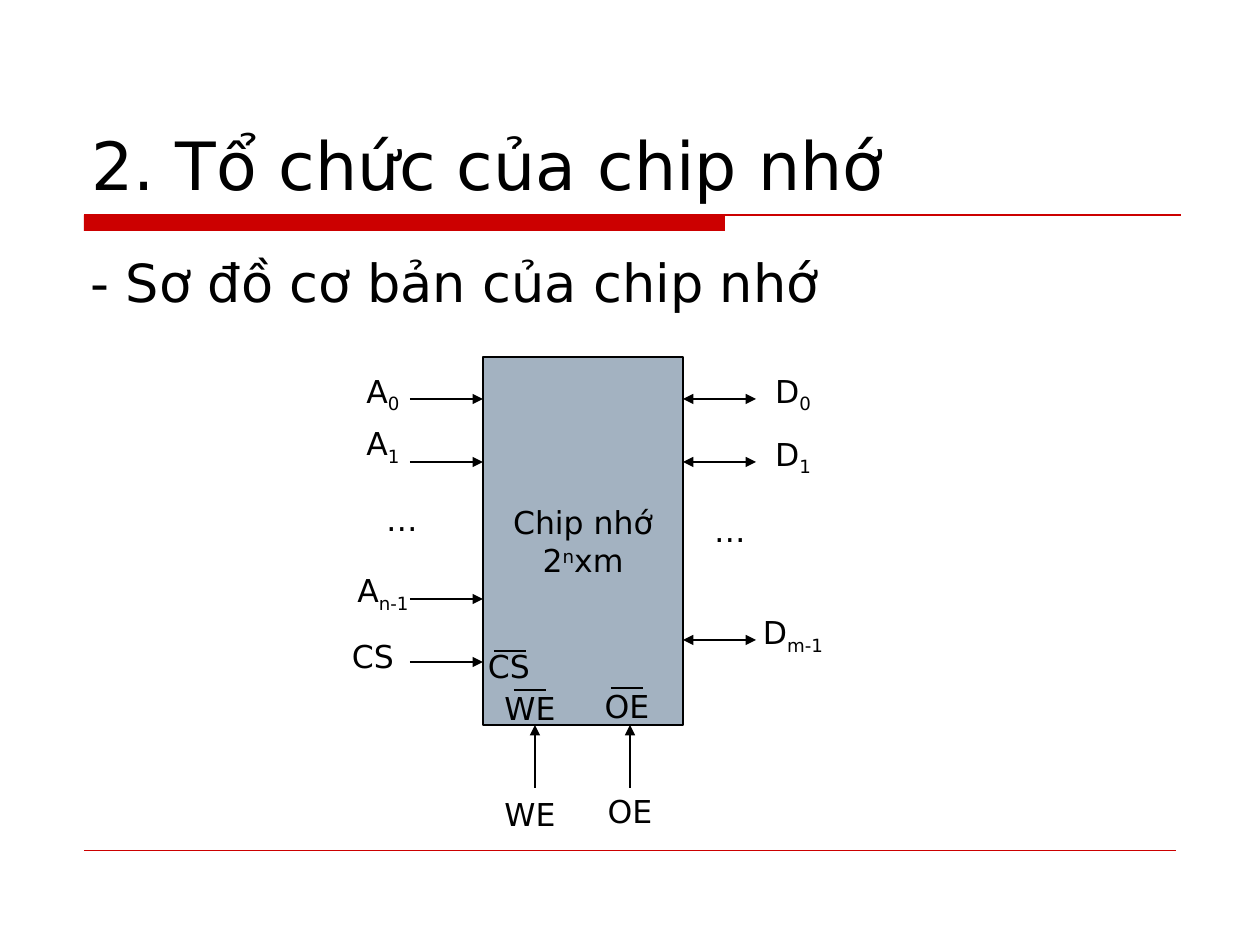
from pptx import Presentation
from pptx.dml.color import RGBColor
from pptx.enum.shapes import MSO_CONNECTOR, MSO_SHAPE
from pptx.enum.text import MSO_ANCHOR, PP_ALIGN
from pptx.oxml.ns import qn
from pptx.util import Pt
from lxml import etree

RED = RGBColor(0xCC, 0x00, 0x00)
STEEL = RGBColor(0xA3, 0xB2, 0xC1)
BLACK = RGBColor(0x00, 0x00, 0x00)
RECT, LINE = MSO_SHAPE.RECTANGLE, MSO_CONNECTOR.STRAIGHT
TOP, MID, LOW = MSO_ANCHOR.TOP, MSO_ANCHOR.MIDDLE, MSO_ANCHOR.BOTTOM
LEFT, MIDST = PP_ALIGN.LEFT, PP_ALIGN.CENTER
FONT = "DejaVu Sans"
SCALE = 914400 / 126  # EMU in one px
SIDE = 136  # label box
SUB, SUP = -25000, 30000


def px(*nums):
    return [round(n * SCALE) for n in nums]


class Sheet:
    def __init__(self, slide):
        self.shapes = slide.shapes

    def words(self, shape, rows, size=18, align=MIDST, **frame):
        """Fill a shape with rows of (text, baseline) runs."""
        box = shape.text_frame
        for name, value in frame.items():
            setattr(box, name, value)
        for i, row in enumerate(rows):
            para = box.paragraphs[0] if i == 0 else box.add_paragraph()
            para.alignment = align
            for text, base in row:
                run = para.add_run()
                run.text = text
                style = {"name": FONT, "size": Pt(size)}
                for name, value in style.items():
                    setattr(run.font, name, value)
                run.font.color.rgb = BLACK
                if base:
                    run.font._element.set("baseline", str(base))

    def block(self, x, y, w, h, fill, edge=None):
        shape = self.shapes.add_shape(RECT, *px(x, y, w, h))
        shape.shadow.inherit = False
        shape.fill.solid()
        shape.fill.fore_color.rgb = fill
        if edge is None:
            shape.line.fill.background()
        else:
            shape.line.color.rgb = edge
            shape.line.width = Pt(0.75)
        return shape

    def head(self, x, y, w, h, text, size, anchor):
        box = self.shapes.add_textbox(*px(x, y, w, h))
        self.words(box, [[(text, 0)]], size, LEFT,
                   word_wrap=True, vertical_anchor=anchor)

    def label(self, x, y, text, sub=""):
        """Place a label by its centre."""
        box = self.shapes.add_textbox(
            *px(x - SIDE // 2, y - SIDE // 2, SIDE, SIDE))
        row = [(text, 0)] + ([(sub, SUB)] if sub else [])
        self.words(box, [row], word_wrap=False, vertical_anchor=MID)

    def line(self, x1, y1, x2, y2, ends=(), color=BLACK, width=0.75):
        rule = self.shapes.add_connector(LINE, *px(x1, y1, x2, y2))
        rule.line.color.rgb = color
        rule.line.width = Pt(width)
        pen = rule.line._get_or_add_ln()
        for end in ends:
            etree.SubElement(pen, qn(f"a:{end}"), type="triangle")
        etree.SubElement(rule._element.spPr, qn("a:effectLst"))


def main():
    deck = Presentation()
    deck.slide_width, deck.slide_height = px(1260, 945)
    sheet = Sheet(deck.slides.add_slide(deck.slide_layouts[6]))

    # Red rules
    sheet.block(84, 215, 641, 16, RED)
    sheet.line(84, 215, 1181, 215, color=RED)
    sheet.line(84, 850, 1176, 850, color=RED, width=0.25)

    # Title and subtitle
    sheet.head(79, 42, 1102, 168, "2. Tổ chức của chip nhớ", 38, LOW)
    sheet.head(78, 244, 1102, 588, "- Sơ đồ cơ bản của chip nhớ", 30, TOP)

    # Chip
    left, top, right, base = 483, 357, 683, 725
    chip = sheet.block(left, top, right - left, base - top, STEEL, BLACK)
    sheet.words(chip, [[("Chip nhớ", 0)], [("2", 0), ("n", SUP), ("xm", 0)]],
                word_wrap=False, vertical_anchor=MID)

    # Arrows
    reach = 73
    for y in (399, 462, 599, 662):
        sheet.line(left - reach, y, left, y, ["tailEnd"])
    for y in (399, 462, 640):
        sheet.line(right, y, right + reach, y, ["headEnd", "tailEnd"])
    for x in (535, 630):
        sheet.line(x, base + 63, x, base, ["tailEnd"])

    # Address and data pins
    for y, sub in ((393, "0"), (446, "1"), (593, "n-1")):
        sheet.label(383, y, "A", sub)
    for y, sub in ((393, "0"), (456, "1"), (635, "m-1")):
        sheet.label(793, y, "D", sub)
    sheet.label(402, 519, "…")
    sheet.label(730, 530, "…")

    # Control pins: outer label, inner label
    for text, outer, inner in (
        ("CS", (373, 656), (509, 666)),
        ("WE", (530, 814), (530, 708)),
        ("OE", (630, 811), (627, 706)),
    ):
        sheet.label(*outer, text)
        sheet.label(*inner, text)

    # Bars over the inner labels
    for x, y in ((494, 651), (514, 690), (611, 688)):
        sheet.line(x, y, x + 32, y)

    deck.save("out.pptx")


if __name__ == "__main__":
    main()
